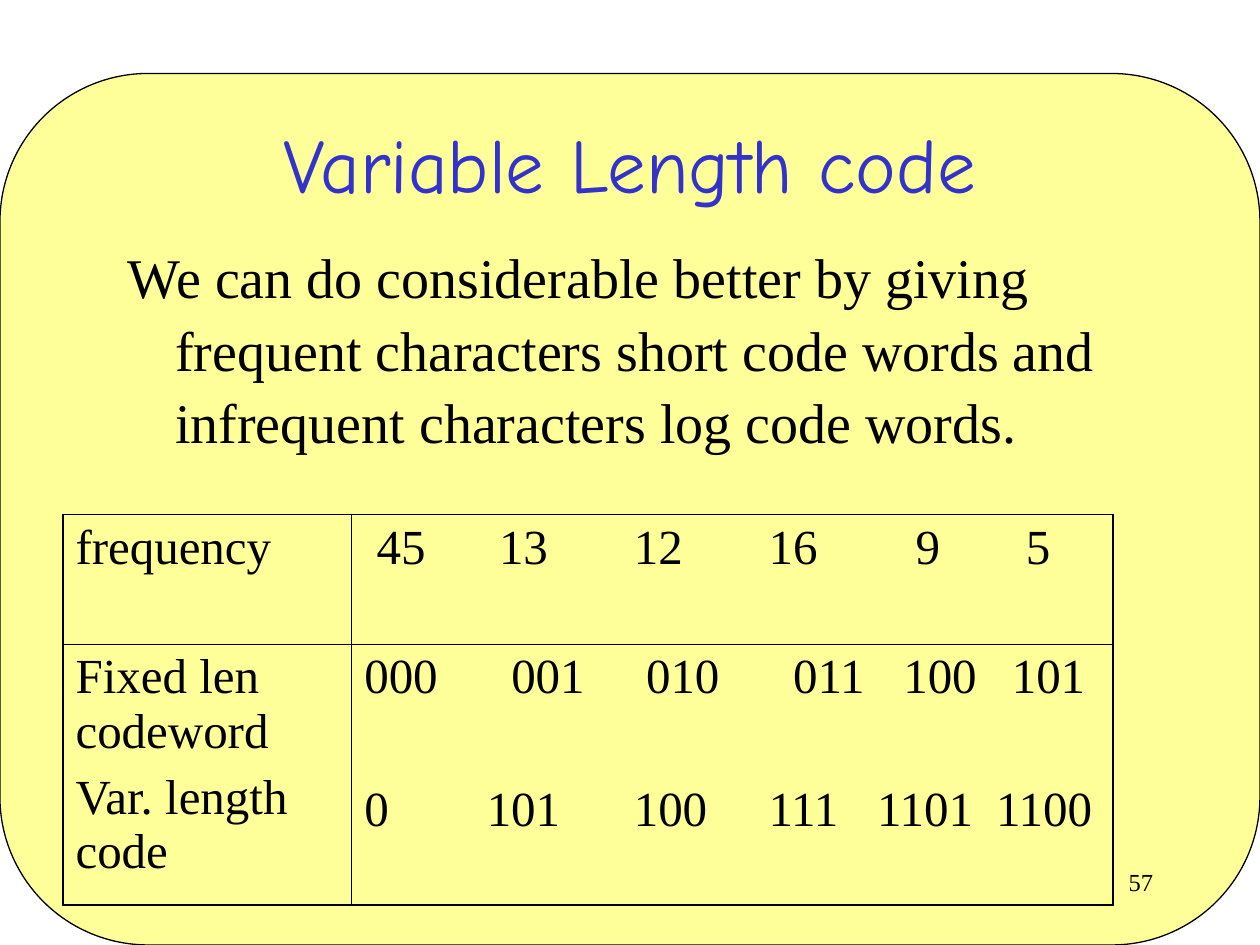
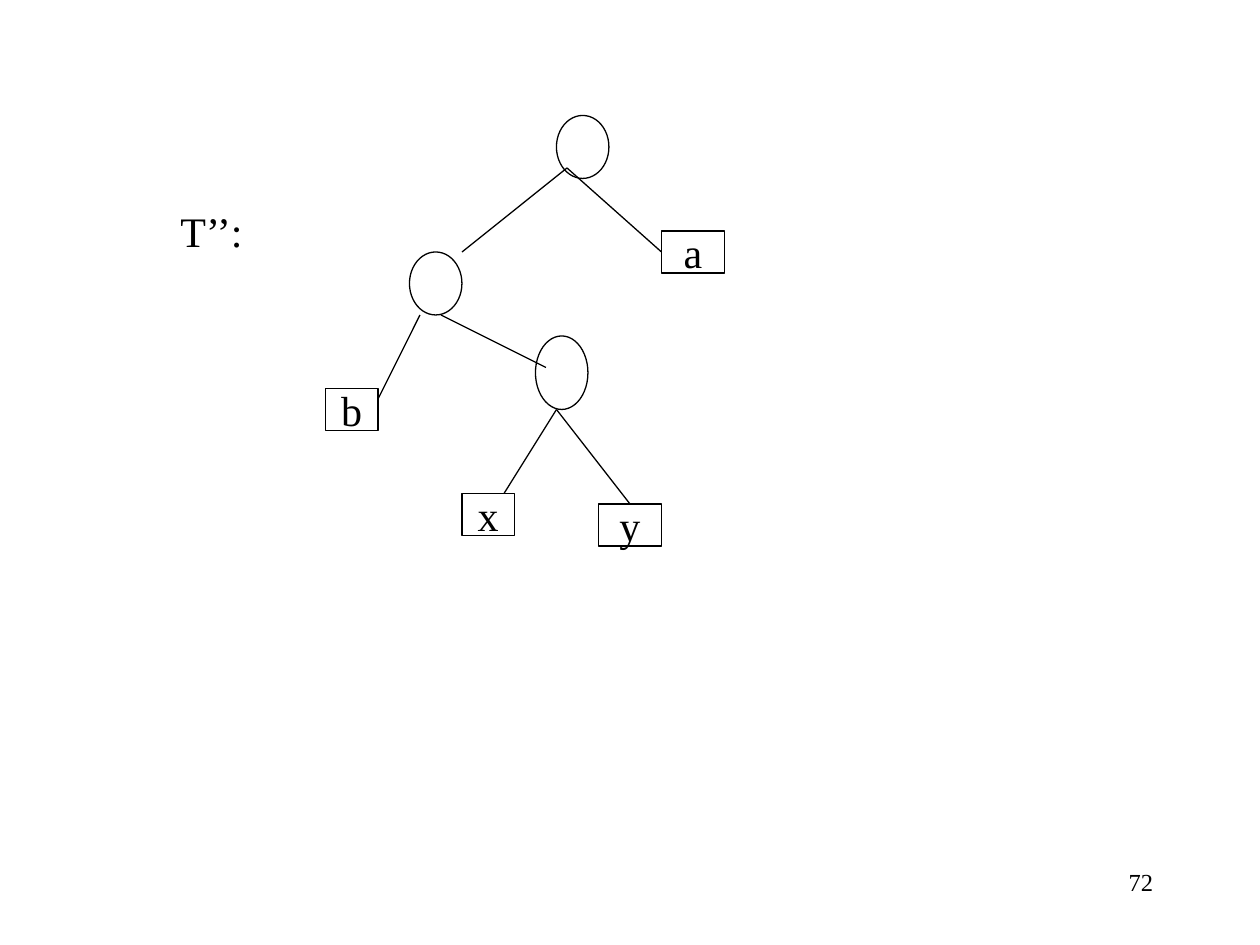
import lxml.etree
import pptx
import pptx.dml.color
import pptx.enum.shapes
import pptx.enum.text
import pptx.oxml.ns
import pptx.util

Pt = pptx.util.Pt
RGBColor = pptx.dml.color.RGBColor
SHAPES = pptx.enum.shapes.MSO_SHAPE
ALIGN = pptx.enum.text.PP_ALIGN
MIDDLE = pptx.enum.text.MSO_ANCHOR.MIDDLE
qn = pptx.oxml.ns.qn

BLACK = RGBColor(0x00, 0x00, 0x00)
WHITE = RGBColor(0xFF, 0xFF, 0xFF)
PANEL_YELLOW = RGBColor(0xFF, 0xFF, 0x99)
TITLE_BLUE = RGBColor(0x33, 0x33, 0xCC)
BODY_FONT = "Times New Roman"
TITLE_FONT = "Comic Neue"
LINE_WIDTH = 0.75
OUTER_BORDER, INNER_BORDER = 1.08, 0.45


def write(frame, text, size, paragraph_format=None, font=BODY_FONT, color=BLACK):
    """Fill a text frame, one paragraph per line of text; return its paragraphs."""
    frame.text = text
    for paragraph in frame.paragraphs:
        for name, value in (paragraph_format or {}).items():
            setattr(paragraph, name, value)
        for name, value in {"size": Pt(size), "name": font}.items():
            setattr(paragraph.font, name, value)
        paragraph.font.color.rgb = color
    return frame.paragraphs


def add_outlined(slide, kind, bounds, fill):
    shape = slide.shapes.add_shape(kind, *map(Pt, bounds))
    shape.shadow.inherit = False
    shape.fill.solid()
    shape.fill.fore_color.rgb = fill
    shape.line.color.rgb = BLACK
    shape.line.width = Pt(LINE_WIDTH)
    return shape


presentation = pptx.Presentation()
presentation.slide_width, presentation.slide_height = Pt(720), Pt(540)
blank_layout = presentation.slide_layouts[6]
code_slide, tree_slide = [presentation.slides.add_slide(blank_layout) for _ in range(2)]

# Variable length code: panel, title and statement
panel = add_outlined(code_slide, SHAPES.ROUNDED_RECTANGLE, (0, 42, 720, 498), PANEL_YELLOW)
panel.adjustments[0] = 0.17

title = code_slide.shapes.add_textbox(Pt(54), Pt(48), Pt(612), Pt(90)).text_frame
title.word_wrap = True
title.vertical_anchor = MIDDLE
write(title, "Variable Length code", 44, {"alignment": ALIGN.CENTER}, TITLE_FONT, TITLE_BLUE)

statement = code_slide.shapes.add_textbox(Pt(66), Pt(132), Pt(612), Pt(324)).text_frame
statement.word_wrap = True
statement_text = (
    "We can do considerable better by giving frequent characters short code words "
    "and infrequent characters log code words."
)
for paragraph in write(statement, statement_text, 32, {"line_spacing": 1.08}):
    properties = paragraph._p.get_or_add_pPr()
    properties.set("marL", str(Pt(27)))
    properties.set("indent", str(-Pt(27)))

# Table of code words
table = code_slide.shapes.add_table(2, 2, Pt(36), Pt(294), Pt(600), Pt(223)).table
table.first_row = table.horz_banding = False
for column, width in zip(table.columns, (165, 435)):
    column.width = Pt(width)
for row, height in zip(table.rows, (74, 149)):
    row.height = Pt(height)

cell_texts = [
    ["frequency", "\t45\t13\t12\t16\t9\t5"],
    ["Fixed len codeword\nVar. length code", "000\t001\t010\t011\t100\t101\n0\t101\t100\t111\t1101\t1100"],
]
value_tabs = [
    [(7, 77, 154, 231, 315, 378)],
    [(84, 161, 245, 308, 370), (70, 154, 231, 293, 361)],
]
for row_index, row_texts in enumerate(cell_texts):
    for column_index, text in enumerate(row_texts):
        cell = table.cell(row_index, column_index)
        cell.fill.background()
        paragraphs = write(cell.text_frame, text, 28)
        if len(paragraphs) > 1:
            paragraphs[1].space_before = Pt((7, 45)[column_index])
        if column_index == 1:
            for paragraph, stops in zip(paragraphs, value_tabs[row_index]):
                tab_list = lxml.etree.Element(qn("a:tabLst"))
                for stop in stops:
                    lxml.etree.SubElement(tab_list, qn("a:tab"), pos=str(Pt(stop)), algn="l")
                properties = paragraph._p.get_or_add_pPr()
                default_run = properties.find(qn("a:defRPr"))
                if default_run is None:
                    properties.append(tab_list)
                else:
                    default_run.addprevious(tab_list)
        outer_sides = {"L": column_index == 0, "R": column_index == 1, "T": row_index == 0, "B": row_index == 1}
        for position, (side, is_outer) in enumerate(outer_sides.items()):
            width = Pt(OUTER_BORDER if is_outer else INNER_BORDER)
            border = lxml.etree.Element(qn(f"a:ln{side}"), w=str(width))
            fill = lxml.etree.SubElement(border, qn("a:solidFill"))
            lxml.etree.SubElement(fill, qn("a:srgbClr"), val=str(BLACK))
            cell._tc.get_or_add_tcPr().insert(position, border)

# Tree T'': inner nodes, leaves and branches
for bounds in [(318, 66, 30, 36), (234, 144, 30, 36), (306, 192, 30, 42)]:
    add_outlined(tree_slide, SHAPES.OVAL, bounds, WHITE)

leaves = {}
for letter, left, top, width in [("a", 378, 132, 36), ("b", 186, 222, 30), ("x", 264, 282, 30), ("y", 342, 288, 36)]:
    leaf = add_outlined(tree_slide, SHAPES.RECTANGLE, (left, top, width, 24), WHITE)
    leaf.text_frame.word_wrap = False
    leaf.text_frame.vertical_anchor = MIDDLE
    write(leaf.text_frame, letter, 24, {"alignment": ALIGN.CENTER})
    leaves[letter] = leaf

branches = [
    ((324, 96), (264, 144), None),
    ((324, 96), (378, 144), ("a", 1)),
    ((240, 180), (216, 228), None),
    ((252, 180), (312, 210), None),
    ((318, 234), (288, 282), None),
    ((318, 234), (360, 288), ("y", 0)),
]
for start, end, joint in branches:
    branch = tree_slide.shapes.add_connector(
        pptx.enum.shapes.MSO_CONNECTOR.STRAIGHT, *map(Pt, start + end)
    )
    branch.line.color.rgb = BLACK
    branch.line.width = Pt(LINE_WIDTH)
    lxml.etree.SubElement(branch._element.spPr, qn("a:effectLst"))
    if joint:
        letter, side = joint
        branch.end_connect(leaves[letter], side)

tree_name = tree_slide.shapes.add_textbox(Pt(96), Pt(114), Pt(54), Pt(36)).text_frame
tree_name.word_wrap = True
write(tree_name, "T’’:", 24, {"space_before": Pt(15)})

# Slide numbers
for slide, number in ((code_slide, "57"), (tree_slide, "72")):
    footer = slide.shapes.add_textbox(Pt(516), Pt(492), Pt(150), Pt(36)).text_frame
    footer.word_wrap = True
    write(footer, number, 14, {"alignment": ALIGN.RIGHT})

presentation.save("out.pptx")
